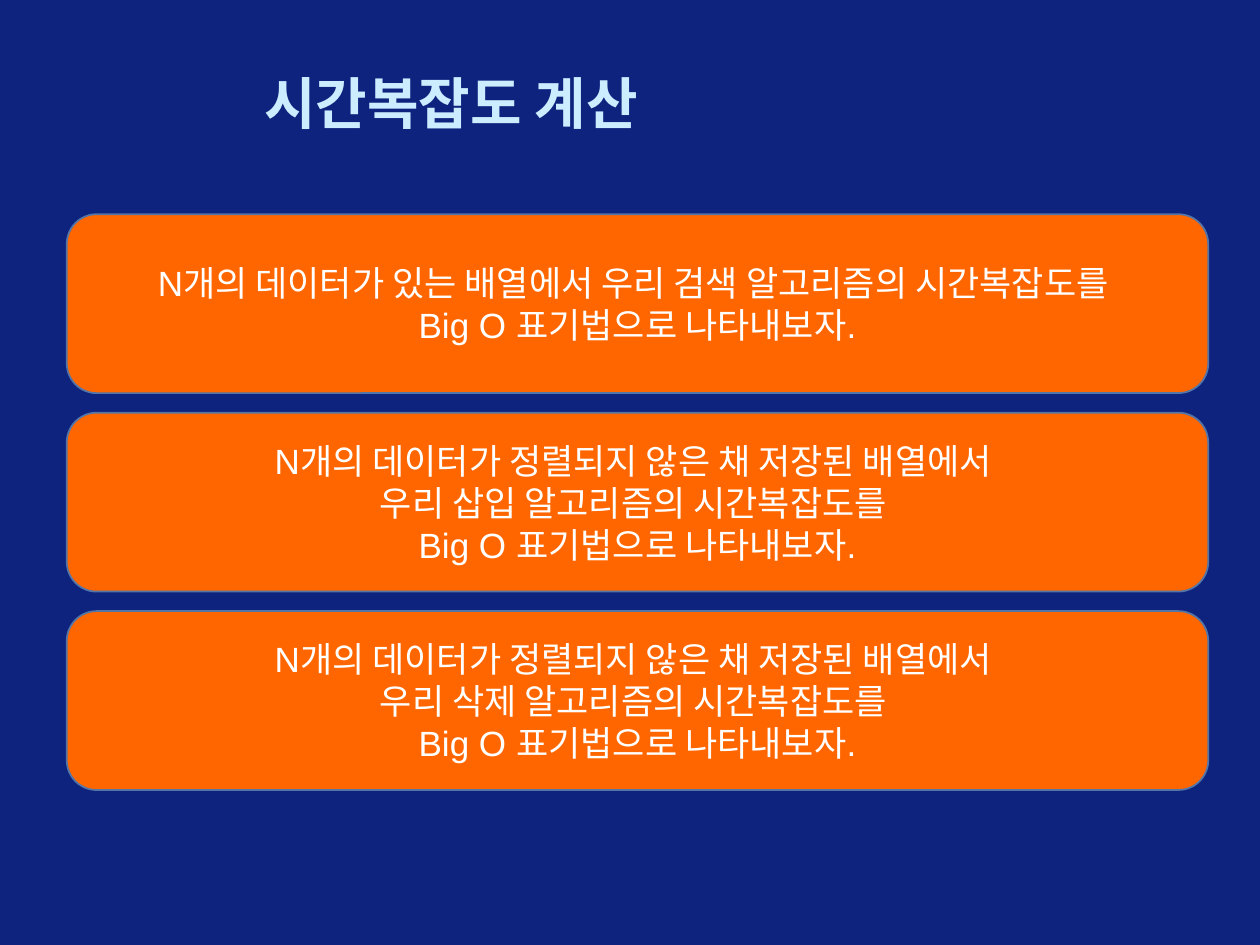
"""Build the slide on working out time complexity."""
import pptx
import pptx.dml.color
import pptx.enum.shapes
import pptx.enum.text
import pptx.util

Inches = pptx.util.Inches
Pt = pptx.util.Pt
Color = pptx.dml.color.RGBColor.from_string
Align = pptx.enum.text.PP_ALIGN

TITLE = "시간복잡도 계산"
CLOSING = "Big O 표기법으로 나타내보자."
UNSORTED = "N개의 데이터가 정렬되지 않은 채 저장된 배열에서 "
QUESTIONS = [
    ["N개의 데이터가 있는 배열에서 우리 검색 알고리즘의 시간복잡도를 ", CLOSING],
    [UNSORTED, "우리 삽입 알고리즘의 시간복잡도를 ", CLOSING],
    [UNSORTED, "우리 삭제 알고리즘의 시간복잡도를 ", CLOSING],
]

THEME = {
    "background": Color("0E237E"),
    "card": Color("FF6600"),
    "outline": Color("5375A7"),
    "title": {"name": "Arial", "size": Pt(32), "bold": True, "color": Color("CCECFF")},
    "body": {"name": "Arial", "size": Pt(20), "bold": False, "color": Color("FFFFFF")},
}
CARD_LEFT, CARD_TOP, CARD_WIDTH, CARD_HEIGHT = 0.53, 1.7, 9.06, 1.42
CARD_PITCH = 1.575


def write_lines(shape, lines, style, alignment):
    """Fill a shape with one styled paragraph per line."""
    frame = shape.text_frame
    frame.word_wrap = True
    frame.vertical_anchor = pptx.enum.text.MSO_ANCHOR.MIDDLE
    frame.text = "\n".join(lines)
    for paragraph in frame.paragraphs:
        paragraph.alignment = alignment
        for run in paragraph.runs:
            for attribute, value in style.items():
                if attribute == "color":
                    run.font.color.rgb = value
                else:
                    setattr(run.font, attribute, value)


presentation = pptx.Presentation()
presentation.slide_width, presentation.slide_height = Inches(10), Inches(7.5)
slide = presentation.slides.add_slide(presentation.slide_layouts[6])
slide.background.fill.solid()
slide.background.fill.fore_color.rgb = THEME["background"]

title = slide.shapes.add_textbox(Inches(2), Inches(0.5), Inches(7.58), Inches(0.62))
write_lines(title, [TITLE], THEME["title"], Align.LEFT)

for index, lines in enumerate(QUESTIONS):
    card = slide.shapes.add_shape(
        pptx.enum.shapes.MSO_SHAPE.ROUNDED_RECTANGLE,
        Inches(CARD_LEFT), Inches(CARD_TOP + index * CARD_PITCH),
        Inches(CARD_WIDTH), Inches(CARD_HEIGHT),
    )
    card.shadow.inherit = False
    card.fill.solid()
    card.fill.fore_color.rgb = THEME["card"]
    card.line.color.rgb = THEME["outline"]
    card.line.width = Pt(1)
    write_lines(card, lines, THEME["body"], Align.CENTER)

presentation.save("out.pptx")
